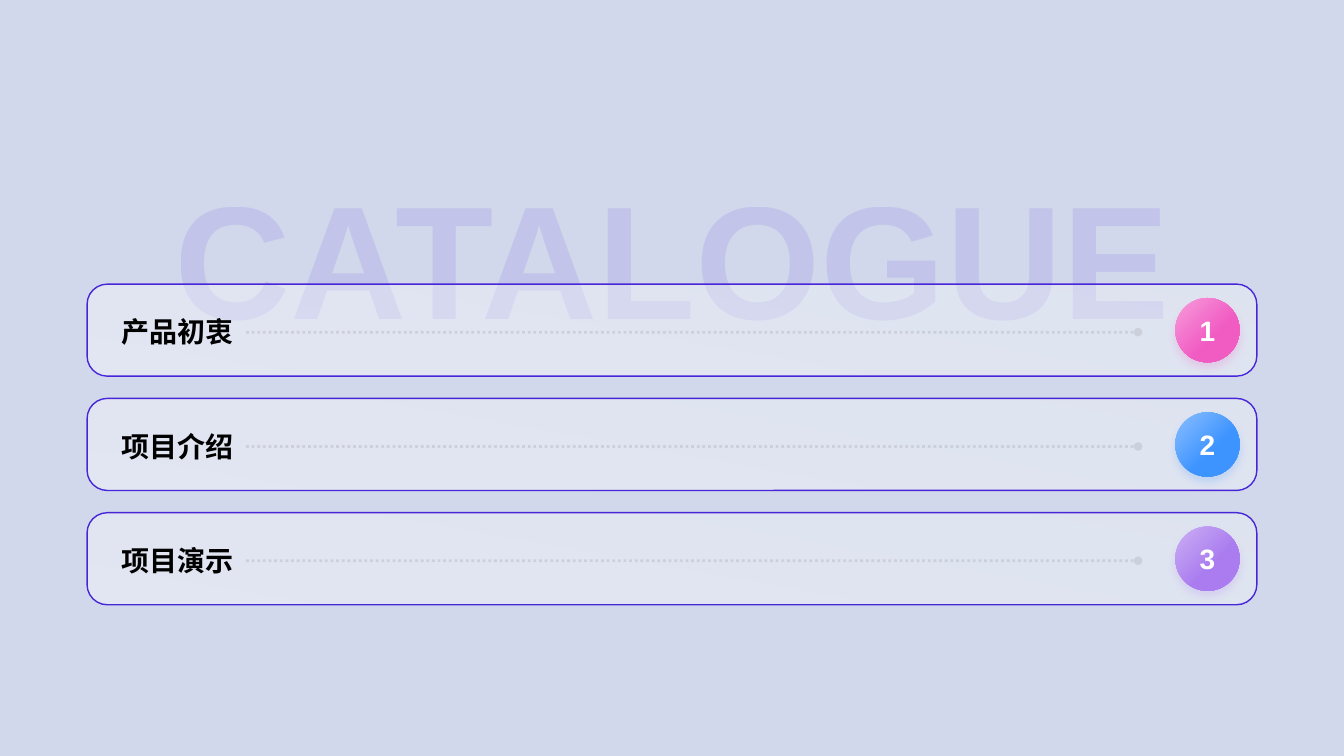
from pptx import Presentation
from pptx.dml.color import RGBColor
from pptx.enum.dml import MSO_LINE
from pptx.enum.shapes import MSO_CONNECTOR, MSO_SHAPE
from pptx.enum.text import MSO_ANCHOR, MSO_AUTO_SIZE, PP_ALIGN
from pptx.oxml.ns import qn
from pptx.util import Cm, Pt
from lxml.etree import SubElement

# Content
TITLE = "CATALOGUE"
CHAPTERS = [
    ("产品初衷", "pink"),
    ("项目介绍", "blue"),
    ("项目演示", "violet"),
]

# Style
COLORS = {
    "background": "D1D8EB", "indigo": "4726D8", "white": "FFFFFF",
    "black": "000000", "grey": "808080",
    "pink": "F15CC3", "pink_light": "F79DDB",
    "blue": "3E94FF", "blue_light": "8BBFFF",
    "violet": "AA7CEF", "violet_light": "CCB0F5",
}
FONT = "Arial"

# Layout in centimetres
SLIDE_WIDTH, SLIDE_HEIGHT = 33.87, 19.05
CARD_WIDTH, CARD_HEIGHT = 29.48, 2.32
CARD_LEFT = (SLIDE_WIDTH - CARD_WIDTH) / 2
FIRST_TOP, PITCH = 7.16, 2.88
BADGE_SIZE, BADGE_LEFT = 1.62, 29.62
LEADER_START, LEADER_END = 6.2, 28.68


def color(name):
    return RGBColor.from_string(COLORS[name])


def set_alpha(element, *percents):
    """Give the colours inside an element their opacities, in order."""
    for srgb, percent in zip(element.iter(qn("a:srgbClr")), percents):
        SubElement(srgb, qn("a:alpha")).set("val", str(percent * 1000))


def fill_gradient(shape, stops, clockwise_angle):
    shape.fill.gradient()
    shape.fill.gradient_angle = 360 - clockwise_angle
    for stop, (name, position) in zip(shape.fill.gradient_stops, stops):
        stop.color.rgb = color(name)
        stop.position = position


def write(shape, text, size, color_name, align, anchor, wrap=False, inset=None):
    frame = shape.text_frame
    settings = {"word_wrap": wrap, "auto_size": MSO_AUTO_SIZE.NONE,
                "vertical_anchor": anchor}
    if inset is not None:
        for side in ("left", "right", "top", "bottom"):
            settings["margin_" + side] = Cm(inset)
    for name, value in settings.items():
        setattr(frame, name, value)
    paragraph = frame.paragraphs[0]
    paragraph.alignment = align
    run = paragraph.add_run()
    run.text = text
    for name, value in {"name": FONT, "size": Pt(size), "bold": True}.items():
        setattr(run.font, name, value)
    run.font.color.rgb = color(color_name)
    return run


def add_card(slide, top):
    card = slide.shapes.add_shape(MSO_SHAPE.ROUNDED_RECTANGLE, Cm(CARD_LEFT),
                                  Cm(top), Cm(CARD_WIDTH), Cm(CARD_HEIGHT))
    card.adjustments[0] = 0.22
    card.shadow.inherit = False
    fill_gradient(card, [("white", 0), ("white", 1)], 280)
    set_alpha(card.fill._xPr, 38, 31)
    card.line.color.rgb = color("indigo")
    card.line.width = Pt(1)


def add_badge(slide, top, number, color_name):
    badge = slide.shapes.add_shape(MSO_SHAPE.OVAL, Cm(BADGE_LEFT), Cm(top),
                                   Cm(BADGE_SIZE), Cm(BADGE_SIZE))
    fill_gradient(badge, [(color_name + "_light", 0), (color_name, 0.6)], 45)
    badge.line.fill.background()
    write(badge, str(number), 20, "white", PP_ALIGN.CENTER,
          MSO_ANCHOR.MIDDLE, inset=0)
    # Soft shadow in the badge colour
    badge.shadow.inherit = False
    effects = badge._element.spPr.find(qn("a:effectLst"))
    shadow = SubElement(effects, qn("a:outerShdw"), blurRad=str(Pt(6)),
                        dist=str(Pt(4)), dir="5400000", algn="t",
                        rotWithShape="0")
    SubElement(shadow, qn("a:srgbClr"), val=COLORS[color_name])
    set_alpha(shadow, 20)


def add_leader(slide, y):
    leader = slide.shapes.add_connector(MSO_CONNECTOR.STRAIGHT, Cm(LEADER_START),
                                        Cm(y), Cm(LEADER_END), Cm(y))
    leader.line.color.rgb = color("grey")
    leader.line.width = Pt(2)
    leader.line.dash_style = MSO_LINE.ROUND_DOT
    properties = leader._element.spPr
    set_alpha(properties, 20)
    SubElement(properties.find(qn("a:ln")), qn("a:tailEnd"), type="oval")
    SubElement(properties, qn("a:effectLst"))


def main():
    presentation = Presentation()
    presentation.slide_width = Cm(SLIDE_WIDTH)
    presentation.slide_height = Cm(SLIDE_HEIGHT)
    slide = presentation.slides.add_slide(presentation.slide_layouts[5])
    slide.background.fill.solid()
    slide.background.fill.fore_color.rgb = color("background")

    # Faint title behind the cards
    title = slide.shapes.title
    place = {"left": 4.01, "top": 3.81, "width": 25.86, "height": 5.18}
    for name, value in place.items():
        setattr(title, name, Cm(value))
    run = write(title, TITLE, 115, "indigo", PP_ALIGN.CENTER, MSO_ANCHOR.BOTTOM)
    set_alpha(run._r, 10)

    # One card per chapter
    for index, (chapter, color_name) in enumerate(CHAPTERS):
        top = FIRST_TOP + index * PITCH
        add_card(slide, top)
        label = slide.shapes.add_textbox(Cm(2.82), Cm(top + 0.65),
                                         Cm(3.35), Cm(1.12))
        write(label, chapter, 20, "black", PP_ALIGN.LEFT, MSO_ANCHOR.TOP)
        add_badge(slide, top + (CARD_HEIGHT - BADGE_SIZE) / 2, index + 1,
                  color_name)
        add_leader(slide, top + 1.21)

    presentation.save("out.pptx")


if __name__ == "__main__":
    main()
